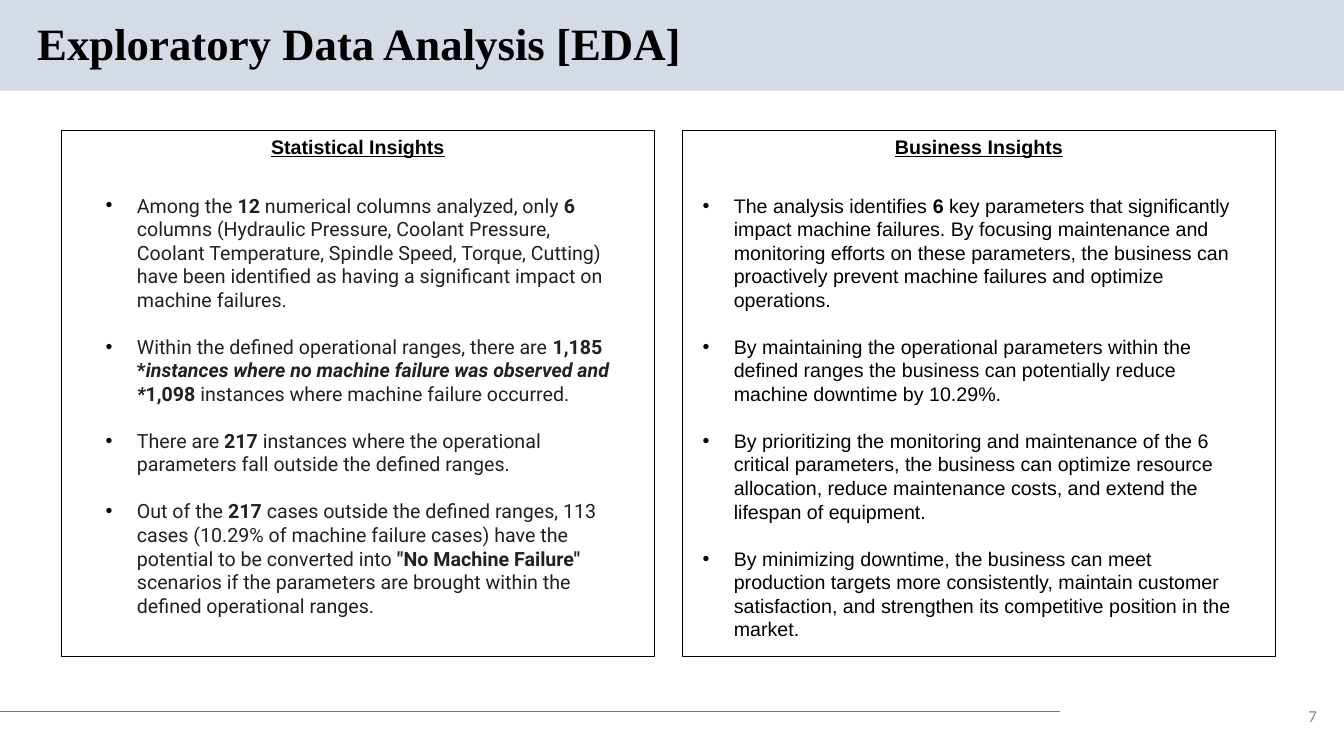
from dataclasses import dataclass
from typing import Any, NamedTuple

from lxml import etree
from pptx import Presentation
from pptx import util as u
from pptx.dml.color import RGBColor
from pptx.enum import shapes, text
from pptx.oxml.ns import qn

PX = 9144  # EMU per px, 100 px to the inch


@dataclass(frozen=True)
class Theme:
    band: str = "D5DBE5"
    rule: str = "767676"
    black: str = "000000"
    charcoal: str = "212121"
    grey: str = "888888"
    title_size: int = 32
    body_size: int = 14
    number_size: int = 12
    line_width: float = 0.75
    bullet_gap: float = 16.8
    bullet_indent: int = 31


THEME = Theme()


class Box(NamedTuple):
    left: int
    top: int
    width: int
    height: int


class Run(NamedTuple):
    text: str
    bold: bool = False
    italic: bool = False


class Panel(NamedTuple):
    heading: str
    frame_left: int
    body: Box
    font: str
    color: str
    bullets: list[list[Run]]


FRAME_TOP, FRAME_WIDTH, FRAME_HEIGHT, HEADING_HEIGHT = 129, 588, 522, 34

PANELS = [
    Panel("Statistical Insights", 61, Box(95, 187, 524, 434), "Roboto", THEME.charcoal, [
        [Run("Among the "), Run("12", True),
         Run(" numerical columns analyzed, only "), Run("6", True),
         Run(" columns (Hydraulic Pressure, Coolant Pressure, Coolant Temperature, "
             "Spindle Speed, Torque, Cutting) have been identified as having a "
             "significant impact on machine failures.")],
        [Run("Within the defined operational ranges, there are "), Run("1,185 *", True),
         Run("instances where no machine failure was observed and *", True, True),
         Run("1,098", True), Run(" instances where machine failure occurred.")],
        [Run("There are "), Run("217", True),
         Run(" instances where the operational parameters fall outside the defined ranges.")],
        [Run("Out of the "), Run("217", True),
         Run(" cases outside the defined ranges, 113 cases (10.29% of machine failure "
             "cases) have the potential to be converted into "),
         Run('"No Machine Failure"', True),
         Run(" scenarios if the parameters are brought within the defined "
             "operational ranges.")],
    ]),
    Panel("Business Insights", 677, Box(687, 187, 559, 458), "Arial", THEME.black, [
        [Run("The analysis identifies "), Run("6", True),
         Run(" key parameters that significantly impact machine failures. By focusing "
             "maintenance and monitoring efforts on these parameters, the business can "
             "proactively prevent machine failures and optimize operations.")],
        [Run("By maintaining the operational parameters within the defined ranges the "
             "business can potentially reduce machine downtime by 10.29%.")],
        [Run("By prioritizing the monitoring and maintenance of the 6 critical parameters, "
             "the business can optimize resource allocation, reduce maintenance costs, "
             "and extend the lifespan of equipment.")],
        [Run("By minimizing downtime, the business can meet production targets more "
             "consistently, maintain customer satisfaction, and strengthen its "
             "competitive position in the market.")],
    ]),
]


def emu(box: Box) -> list[int]:
    return [length * PX for length in box]


def set_all(target: Any, values: dict[str, Any]) -> None:
    for name, value in values.items():
        setattr(target, name, value)


def add_rectangle(slide: Any, box: Box, fill: str | None = None, line: str | None = None) -> None:
    shape = slide.shapes.add_shape(shapes.MSO_SHAPE.RECTANGLE, *emu(box))
    shape.shadow.inherit = False
    if fill:
        shape.fill.solid()
        shape.fill.fore_color.rgb = RGBColor.from_string(fill)
    else:
        shape.fill.background()
    if line:
        shape.line.color.rgb = RGBColor.from_string(line)
        shape.line.width = u.Pt(THEME.line_width)
    else:
        shape.line.fill.background()


def add_rule(slide: Any, left: int, right: int, y: int) -> None:
    rule = slide.shapes.add_connector(
        shapes.MSO_CONNECTOR.STRAIGHT, left * PX, y * PX, right * PX, y * PX)
    rule.line.color.rgb = RGBColor.from_string(THEME.rule)
    rule.line.width = u.Pt(THEME.line_width)
    etree.SubElement(rule._element.spPr, qn("a:effectLst"))


def add_frame(slide: Any, box: Box, **values: Any) -> Any:
    frame = slide.shapes.add_textbox(*emu(box)).text_frame
    set_all(frame, {"word_wrap": True, **values})
    return frame


def add_run(paragraph: Any, content: str, font: str, size: int, color: str, **values: Any) -> None:
    run = paragraph.add_run()
    run.text = content
    set_all(run.font, {"name": font, "size": u.Pt(size), **values})
    run.font.color.rgb = RGBColor.from_string(color)


def add_bullet(paragraph: Any) -> None:
    properties = paragraph._p.get_or_add_pPr()
    indent = THEME.bullet_indent * PX
    properties.set("marL", str(indent))
    properties.set("indent", str(-indent))
    color = etree.SubElement(properties, qn("a:buClr"))
    etree.SubElement(color, qn("a:srgbClr"), val=THEME.black)
    etree.SubElement(properties, qn("a:buFont"), typeface="Arial")
    etree.SubElement(properties, qn("a:buChar"), char="•")


def add_panel(slide: Any, panel: Panel) -> None:
    add_rectangle(slide, Box(panel.frame_left, FRAME_TOP, FRAME_WIDTH, FRAME_HEIGHT),
                  line=THEME.black)
    grow = {"auto_size": text.MSO_AUTO_SIZE.SHAPE_TO_FIT_TEXT}

    heading = add_frame(
        slide, Box(panel.frame_left, FRAME_TOP, FRAME_WIDTH, HEADING_HEIGHT), **grow)
    heading.paragraphs[0].alignment = text.PP_ALIGN.CENTER
    add_run(heading.paragraphs[0], panel.heading, "Arial", THEME.body_size, THEME.black,
            bold=True, underline=True)

    body = add_frame(slide, panel.body, **grow)
    for index, runs in enumerate(panel.bullets):
        paragraph = body.add_paragraph() if index else body.paragraphs[0]
        if index:
            paragraph.space_before = u.Pt(THEME.bullet_gap)
        add_bullet(paragraph)
        for run in runs:
            add_run(paragraph, run.text, panel.font, THEME.body_size, panel.color,
                    bold=run.bold, italic=run.italic)


def main() -> None:
    presentation = Presentation()
    set_all(presentation, {"slide_width": 1333 * PX, "slide_height": 750 * PX})
    slide = presentation.slides.add_slide(presentation.slide_layouts[6])
    middle = {"vertical_anchor": text.MSO_ANCHOR.MIDDLE}

    # Title band and footer rule
    add_rectangle(slide, Box(0, 0, 1333, 90), fill=THEME.band)
    add_rule(slide, 0, 1051, 706)

    # Title
    title = add_frame(slide, Box(27, 16, 1011, 59), **middle).paragraphs[0]
    title.line_spacing = 0.9
    add_run(title, "Exploratory Data Analysis [EDA]", "Times New Roman",
            THEME.title_size, THEME.black, bold=True)

    # Insight panels
    for panel in PANELS:
        add_panel(slide, panel)

    # Slide number
    number = add_frame(slide, Box(1273, 694, 43, 32), **middle).paragraphs[0]
    number.alignment = text.PP_ALIGN.RIGHT
    add_run(number, "7", "Calibri", THEME.number_size, THEME.grey)

    presentation.save("out.pptx")


if __name__ == "__main__":
    main()
